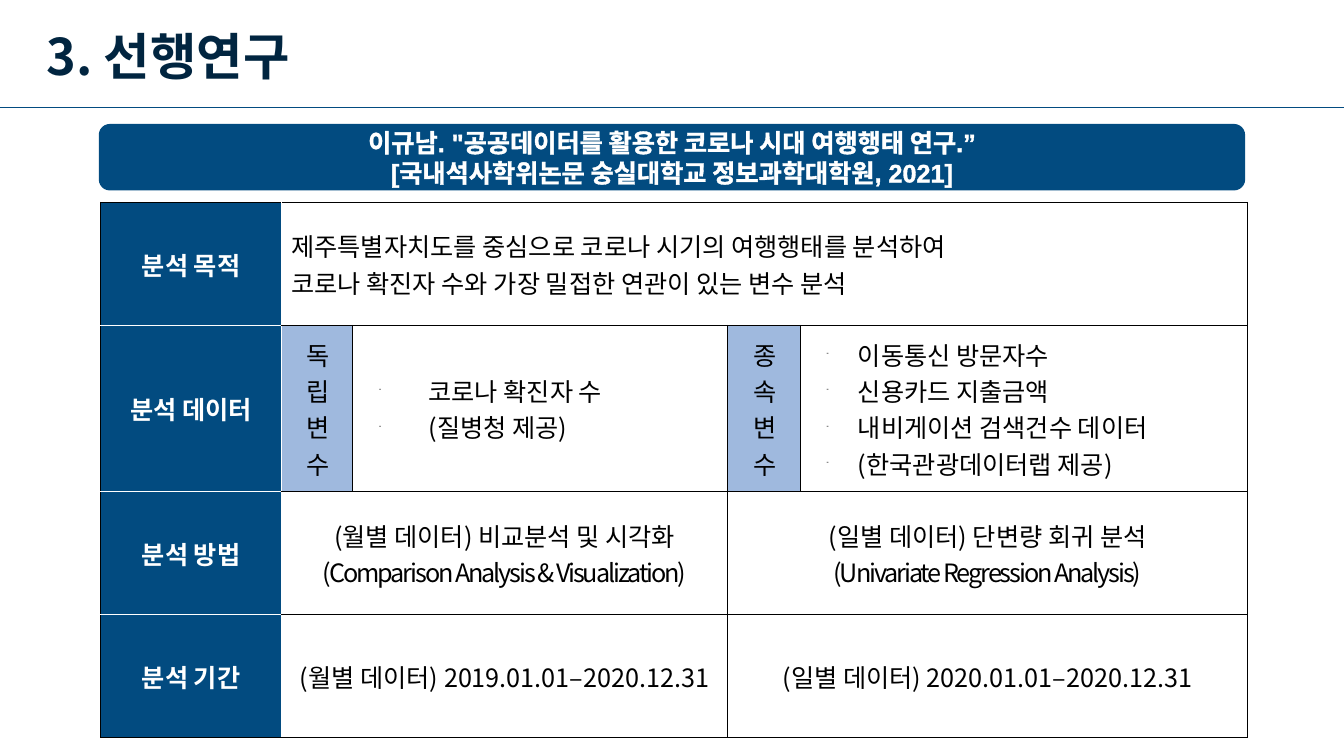
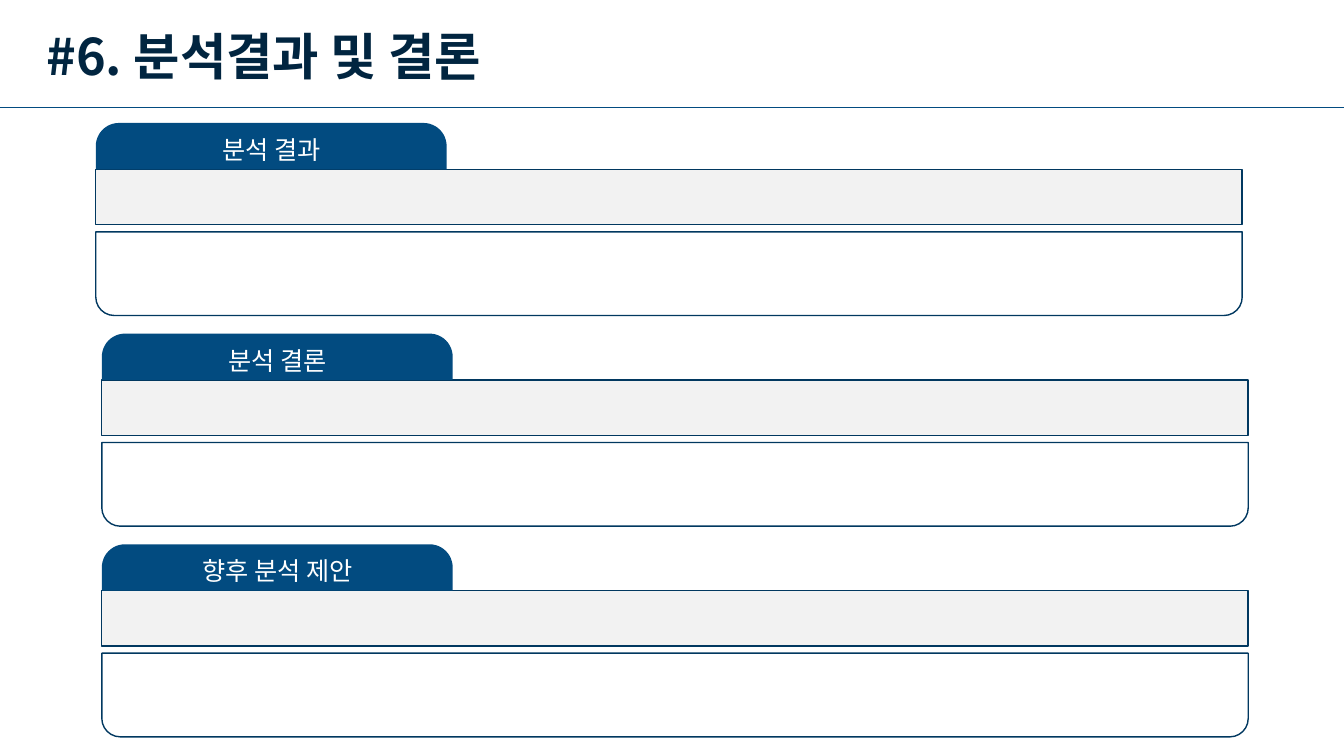
import pptx
import pptx.util
import pptx.dml.color
import pptx.enum.shapes
import pptx.enum.text
import pptx.oxml
import pptx.oxml.ns
from lxml import etree

Inches = pptx.util.Inches
Pt = pptx.util.Pt
SHAPE = pptx.enum.shapes.MSO_SHAPE
ALIGN = pptx.enum.text.PP_ALIGN
MIDDLE = pptx.enum.text.MSO_ANCHOR.MIDDLE
qn = pptx.oxml.ns.qn

COLORS = {
    "navy": "024B80",
    "title": "012540",
    "edge": "013860",
    "variable": "9FB9DE",
    "band": "F2F2F2",
    "white": "FFFFFF",
    "black": "000000",
}
KOREAN = "Noto Sans CJK KR"
LATIN = "Arial"
PANEL_WIDTH = 11.37


def rgb(name):
    return pptx.dml.color.RGBColor.from_string(COLORS[name])


def style(paragraph, face, color, size=18, bold=False, align=ALIGN.LEFT):
    paragraph.alignment = align
    font = paragraph.font
    font.name, font.size, font.bold = face, Pt(size), bold
    font.color.rgb = rgb(color)
    if face == KOREAN:
        latin = paragraph._p.pPr.find(qn("a:defRPr")).find(qn("a:latin"))
        east_asian = etree.Element(qn("a:ea"), typeface=face)
        latin.addnext(east_asian)


def write(frame, lines, face, color, bold=False, align=ALIGN.LEFT, indent=None, bullet=False):
    frame.word_wrap = True
    for number, line in enumerate(lines):
        paragraph = frame.add_paragraph() if number else frame.paragraphs[0]
        paragraph.text = line
        if indent:
            properties = paragraph._p.get_or_add_pPr()
            properties.set("marL", str(Inches(indent[0])))
            properties.set("indent", str(Inches(indent[1])))
            if bullet:
                etree.SubElement(properties, qn("a:buSzPct"), val="25000")
                etree.SubElement(properties, qn("a:buChar"), char="-")
        style(paragraph, face, color, bold=bold, align=align)


def add_block(shapes, preset, box, fill, edge=None, adjustments=()):
    block = shapes.add_shape(preset, *map(Inches, box))
    block.shadow.inherit = False
    block.fill.solid()
    block.fill.fore_color.rgb = rgb(fill)
    if edge:
        block.line.color.rgb = rgb(edge)
        block.line.width = Pt(1)
    else:
        block.line.fill.background()
    for index, value in enumerate(adjustments):
        block.adjustments[index] = value
    block.text_frame.vertical_anchor = MIDDLE
    return block


def add_titled_slide(deck, heading, width):
    slide = deck.slides.add_slide(deck.slide_layouts[5])
    rule = slide.shapes.add_connector(
        pptx.enum.shapes.MSO_CONNECTOR.STRAIGHT, 0, Inches(1.07), deck.slide_width, Inches(1.07))
    rule.line.color.rgb = rgb("navy")
    rule.line.width = Pt(0.5)
    etree.SubElement(rule._element.spPr, qn("a:effectLst"))
    title = slide.shapes.title
    title.left, title.top, title.width, title.height = map(Inches, (0.36, 0.19, width, 0.71))
    frame = title.text_frame
    frame.text = heading
    frame.word_wrap = True
    frame.auto_size = pptx.enum.text.MSO_AUTO_SIZE.NONE
    frame.vertical_anchor = MIDDLE
    style(frame.paragraphs[0], KOREAN, "title", size=36, bold=True)
    return slide


def add_citation(slide, box, lines):
    citation = add_block(slide.shapes, SHAPE.ROUNDED_RECTANGLE, box, "navy")
    write(citation.text_frame, lines, LATIN, "white", bold=True, align=ALIGN.CENTER)
    for paragraph in citation.text_frame.paragraphs:
        for run in paragraph.runs:
            outline = etree.Element(qn("a:ln"), w=str(Pt(0.75)))
            fill = etree.SubElement(outline, qn("a:solidFill"))
            etree.SubElement(fill, qn("a:srgbClr"), val=COLORS["white"])
            run._r.get_or_add_rPr().insert(0, outline)


def set_borders(cell, left, right, top, bottom):
    properties = cell._tc.get_or_add_tcPr()
    sides = zip(("lnL", "lnR", "lnT", "lnB"), (left, right, top, bottom))
    for position, (side, color) in enumerate(sides):
        border = etree.Element(qn("a:" + side), w=str(Pt(1)))
        fill = etree.SubElement(border, qn("a:solidFill"))
        etree.SubElement(fill, qn("a:srgbClr"), val=COLORS[color])
        properties.insert(position, border)


def add_study_table(slide, box, widths, heights, labels, contents):
    table = slide.shapes.add_table(len(heights), len(widths), *map(Inches, box)).table
    table.first_row = table.horz_banding = False
    for column, width in zip(table.columns, widths):
        column.width = Inches(width)
    for row, height in zip(table.rows, heights):
        row.height = Inches(height)
    last = len(heights) - 1
    for row in range(len(heights)):
        for column in range(len(widths)):
            cell = table.cell(row, column)
            cell.vertical_anchor = MIDDLE
            cell.fill.solid()
            cell.fill.fore_color.rgb = rgb("white" if column else "navy")
            if column:
                set_borders(cell, "white" if column == 1 else "black", "black", "black", "black")
            else:
                set_borders(cell, "black", "white", "white" if row else "black",
                            "black" if row == last else "white")
    for row, label in enumerate(labels):
        write(table.cell(row, 0).text_frame, [label], LATIN, "white", True, ALIGN.CENTER)
    for row, column, span, kind, lines in contents:
        cell = table.cell(row, column)
        if span > 1:
            cell.merge(table.cell(row, column + span - 1))
        if kind == "variable":
            cell.fill.fore_color.rgb = rgb("variable")
        if kind == "center":
            cell.margin_left = cell.margin_right = Inches(0.05)
        indent = {"variable": (0.15, 0), "list": (0.47, -0.31), "inset list": (0.65, -0.49)}.get(kind)
        write(cell.text_frame, lines, KOREAN, "black",
              align=ALIGN.CENTER if kind == "center" else ALIGN.LEFT,
              indent=indent, bullet=kind.endswith("list"))
        if kind == "center" and len(lines) == 2:
            english = cell.text_frame.paragraphs[1].runs[0]
            english._r.get_or_add_rPr().set("spc", "-150")


def add_panel(slide, left, top, label):
    shapes = slide.shapes.add_group_shape().shapes
    add_block(shapes, SHAPE.RECTANGLE, (left, top + 0.46, PANEL_WIDTH, 0.55), "band", "edge")
    tab = add_block(shapes, SHAPE.ROUND_2_SAME_RECTANGLE, (left, top, 3.48, 0.46),
                    "navy", adjustments=(0.5, 0))
    write(tab.text_frame, [label], LATIN, "white", align=ALIGN.CENTER)
    body = add_block(shapes, SHAPE.ROUND_2_SAME_RECTANGLE, (left, top + 1.08, PANEL_WIDTH, 0.83),
                     "white", "edge", (0.22, 0))
    body.rotation = 180


def build_prior_study(deck):
    slide = add_titled_slide(deck, "3. 선행연구", 3.14)
    add_citation(slide, (0.98, 1.23, PANEL_WIDTH, 0.66), [
        "이규남. \"공공데이터를 활용한 코로나 시대 여행행태 연구.”",
        "[국내석사학위논문 숭실대학교 정보과학대학원, 2021]",
    ])
    contents = [
        (0, 1, 4, "text", ["제주특별자치도를 중심으로 코로나 시기의 여행행태를 분석하여",
                           "코로나 확진자 수와 가장 밀접한 연관이 있는 변수 분석"]),
        (1, 1, 1, "variable", list("독립변수")),
        (1, 2, 1, "inset list", ["코로나 확진자 수", "(질병청 제공)"]),
        (1, 3, 1, "variable", list("종속변수")),
        (1, 4, 1, "list", ["이동통신 방문자수", "신용카드 지출금액",
                           "내비게이션 검색건수 데이터", "(한국관광데이터랩 제공)"]),
        (2, 1, 2, "center", ["(월별 데이터) 비교분석 및 시각화",
                             "(Comparison Analysis & Visualization)"]),
        (2, 3, 2, "center", ["(일별 데이터) 단변량 회귀 분석",
                             "(Univariate Regression Analysis)"]),
        (3, 1, 2, "center", ["(월별 데이터) 2019.01.01–2020.12.31"]),
        (3, 3, 2, "center", ["(일별 데이터) 2020.01.01–2020.12.31"]),
    ]
    add_study_table(slide, (1, 2.01, PANEL_WIDTH, 5.31),
                    (1.79, 0.71, 3.72, 0.72, 4.43), (1.22, 1.65, 1.22, 1.22),
                    ("분석 목적", "분석 데이터", "분석 방법", "분석 기간"), contents)


def build_conclusion(deck):
    slide = add_titled_slide(deck, "#6. 분석결과 및 결론", 4.97)
    panels = ((0.95, "분석 결과"), (1.01, "분석 결론"), (1.01, "향후 분석 제안"))
    for number, (left, label) in enumerate(panels):
        add_panel(slide, left, 1.22 + 2.09 * number, label)


def main():
    deck = pptx.Presentation()
    deck.slide_width, deck.slide_height = Inches(13.33), Inches(7.5)
    build_prior_study(deck)
    build_conclusion(deck)
    deck.save("out.pptx")


if __name__ == "__main__":
    main()
